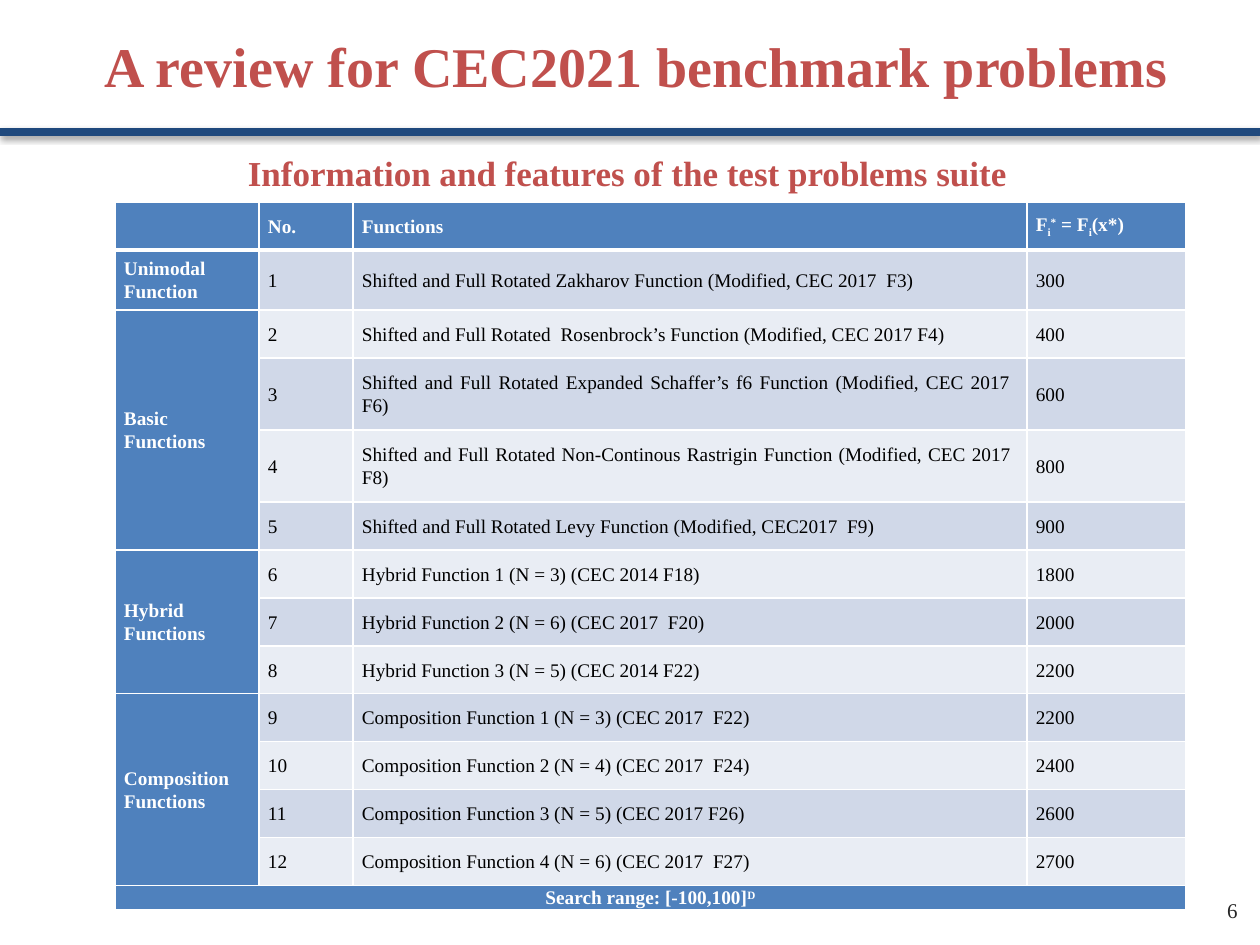
from lxml.etree import SubElement
from pptx import Presentation
from pptx.dml.color import RGBColor
from pptx.enum.shapes import MSO_CONNECTOR
from pptx.enum.text import MSO_ANCHOR, MSO_AUTO_SIZE, PP_ALIGN
from pptx.oxml import parse_xml
from pptx.oxml.ns import nsdecls, qn
from pptx.util import Pt

EMU_PER_PX = 914400 // 126
FONT = "Times New Roman"
RED, NAVY, BLUE = "C0504D", "1F497D", "4F81BD"
WHITE, BLACK, GREY = "FFFFFF", "000000", "262626"
BANDS = ["D0D8E8", "E9EDF4"]
SUB, SUPER = -25000, 30000

COLUMN_WIDTHS = [144, 94, 674, 159]
HEADER_HEIGHT, ROW_HEIGHT, FOOTER_HEIGHT = 48, 48, 24
TALLER_ROWS = {1: 60, 3: 72, 4: 72}
HEADERS = [
    [],
    [("No.", 0)],
    [("Functions", 0)],
    [("F", 0), ("i", SUB), ("*", SUPER), (" = F", 0), ("i", SUB), ("(x*)", 0)],
]
FOOTER = [("Search range: [-100,100]", 0), ("D", SUPER)]
GROUPS = [
    ("Unimodal Function", [
        ("Shifted and Full Rotated Zakharov Function (Modified, CEC 2017  F3)", 300),
    ]),
    ("Basic Functions", [
        ("Shifted and Full Rotated  Rosenbrock’s Function (Modified, CEC 2017 F4)", 400),
        ("Shifted and Full Rotated Expanded Schaffer’s f6 Function (Modified, CEC 2017  F6)", 600),
        ("Shifted and Full Rotated Non-Continous Rastrigin Function (Modified, CEC 2017  F8)", 800),
        ("Shifted and Full Rotated Levy Function (Modified, CEC2017  F9)", 900),
    ]),
    ("Hybrid Functions", [
        ("Hybrid Function 1 (N = 3) (CEC 2014 F18)", 1800),
        ("Hybrid Function 2 (N = 6) (CEC 2017  F20)", 2000),
        ("Hybrid Function 3 (N = 5) (CEC 2014 F22)", 2200),
    ]),
    ("Composition Functions", [
        ("Composition Function 1 (N = 3) (CEC 2017  F22)", 2200),
        ("Composition Function 2 (N = 4) (CEC 2017  F24)", 2400),
        ("Composition Function 3 (N = 5) (CEC 2017 F26)", 2600),
        ("Composition Function 4 (N = 6) (CEC 2017  F27)", 2700),
    ]),
]


def px(length):
    return length * EMU_PER_PX


def rgb(value):
    return RGBColor.from_string(value)


def set_all(target, **values):
    for name, value in values.items():
        setattr(target, name, value)


def write(paragraph, runs, size, color, bold=False):
    """Append (text, baseline) runs in one format."""
    for text, baseline in runs:
        run = paragraph.add_run()
        run.text = text
        set_all(run.font, name=FONT, size=Pt(size), bold=bold)
        run.font.color.rgb = rgb(color)
        if baseline:
            run._r.get_or_add_rPr().set("baseline", str(baseline))


def fill_text(shape, box, text, size, color, bold=False,
              align=PP_ALIGN.CENTER, anchor=MSO_ANCHOR.TOP):
    """Place a text shape and write its only paragraph."""
    set_all(shape, **dict(zip(("left", "top", "width", "height"), map(px, box))))
    set_all(shape.text_frame, word_wrap=True, vertical_anchor=anchor,
            auto_size=MSO_AUTO_SIZE.NONE)
    paragraph = shape.text_frame.paragraphs[0]
    paragraph.alignment = align
    write(paragraph, [(text, 0)], size, color, bold)
    return paragraph


def add_text(slide, box, *args, **formats):
    return fill_text(slide.shapes.add_textbox(0, 0, 0, 0), box, *args, **formats)


def add_rule(slide, y, width):
    """Draw the full-width rule with its soft shadow."""
    rule = slide.shapes.add_connector(MSO_CONNECTOR.STRAIGHT, 0, px(y), width, px(y))
    rule.line.color.rgb = rgb(NAVY)
    rule.line.width = Pt(5)
    rule._element.spPr.append(parse_xml(
        f'<a:effectLst {nsdecls("a")}>'
        f'<a:outerShdw blurRad="{Pt(3.1)}" dist="{Pt(1.6)}" dir="5400000" rotWithShape="0">'
        f'<a:srgbClr val="{BLACK}"><a:alpha val="38000"/></a:srgbClr>'
        '</a:outerShdw></a:effectLst>'))


def set_borders(cell, bottom):
    properties = cell._tc.get_or_add_tcPr()
    widths = {"a:lnL": 1, "a:lnR": 1, "a:lnT": 1, "a:lnB": bottom}
    for index, (tag, width) in enumerate(widths.items()):
        line = properties.makeelement(qn(tag), {"w": str(Pt(width))})
        SubElement(SubElement(line, qn("a:solidFill")), qn("a:srgbClr"), val=WHITE)
        properties.insert(index, line)


def fill_cell(cell, runs, fill, color=WHITE, bold=True, align=PP_ALIGN.JUSTIFY):
    set_all(cell, margin_left=px(9), margin_right=px(9), margin_top=0,
            margin_bottom=0, vertical_anchor=MSO_ANCHOR.MIDDLE)
    cell.fill.solid()
    cell.fill.fore_color.rgb = rgb(fill)
    paragraph = cell.text_frame.paragraphs[0]
    set_all(paragraph, alignment=align, line_spacing=1.07)
    write(paragraph, runs, 11, color, bold)


def add_function_table(slide, left, top):
    function_count = sum(len(functions) for _, functions in GROUPS)
    heights = [HEADER_HEIGHT]
    heights += [TALLER_ROWS.get(n, ROW_HEIGHT) for n in range(1, function_count + 1)]
    heights.append(FOOTER_HEIGHT)
    table = slide.shapes.add_table(
        len(heights), len(COLUMN_WIDTHS), px(left), px(top),
        px(sum(COLUMN_WIDTHS)), px(sum(heights))).table
    for column, width in zip(table.columns, COLUMN_WIDTHS):
        column.width = px(width)
    for row_index, (row, height) in enumerate(zip(table.rows, heights)):
        row.height = px(height)
        for cell in row.cells:
            set_borders(cell, bottom=1 if row_index else 3)

    for column, runs in enumerate(HEADERS):
        fill_cell(table.cell(0, column), runs, BLUE)
    number = 1
    for group, functions in GROUPS:
        group_cell = table.cell(number, 0)
        if len(functions) > 1:
            group_cell.merge(table.cell(number + len(functions) - 1, 0))
        fill_cell(group_cell, [(group, 0)], BLUE, align=PP_ALIGN.LEFT)
        for name, optimum in functions:
            for column, value in enumerate((number, name, optimum), 1):
                fill_cell(table.cell(number, column), [(str(value), 0)],
                          BANDS[(number - 1) % 2], BLACK, bold=False)
            number += 1
    footer = table.cell(number, 0)
    footer.merge(table.cell(number, len(COLUMN_WIDTHS) - 1))
    fill_cell(footer, FOOTER, BLUE, align=PP_ALIGN.CENTER)


def main():
    presentation = Presentation()
    set_all(presentation, slide_width=px(1260), slide_height=px(945))
    slide = presentation.slides.add_slide(presentation.slide_layouts[5])

    title = fill_text(slide.shapes.title, (0, 25, 1255, 81),
                      "A review for CEC2021 benchmark problems", 32, RED, bold=True)
    title._p.get_or_add_pPr().set("indent", str(px(18)))
    add_text(slide, (956, 885, 294, 50), "6", 12, GREY,
             align=PP_ALIGN.RIGHT, anchor=MSO_ANCHOR.MIDDLE)
    add_text(slide, (0, 145, 1255, 55),
             "Information and features of the test problems suite", 20, RED, bold=True)
    add_rule(slide, 132, presentation.slide_width)
    add_function_table(slide, 115, 202)
    presentation.save("out.pptx")


if __name__ == "__main__":
    main()
